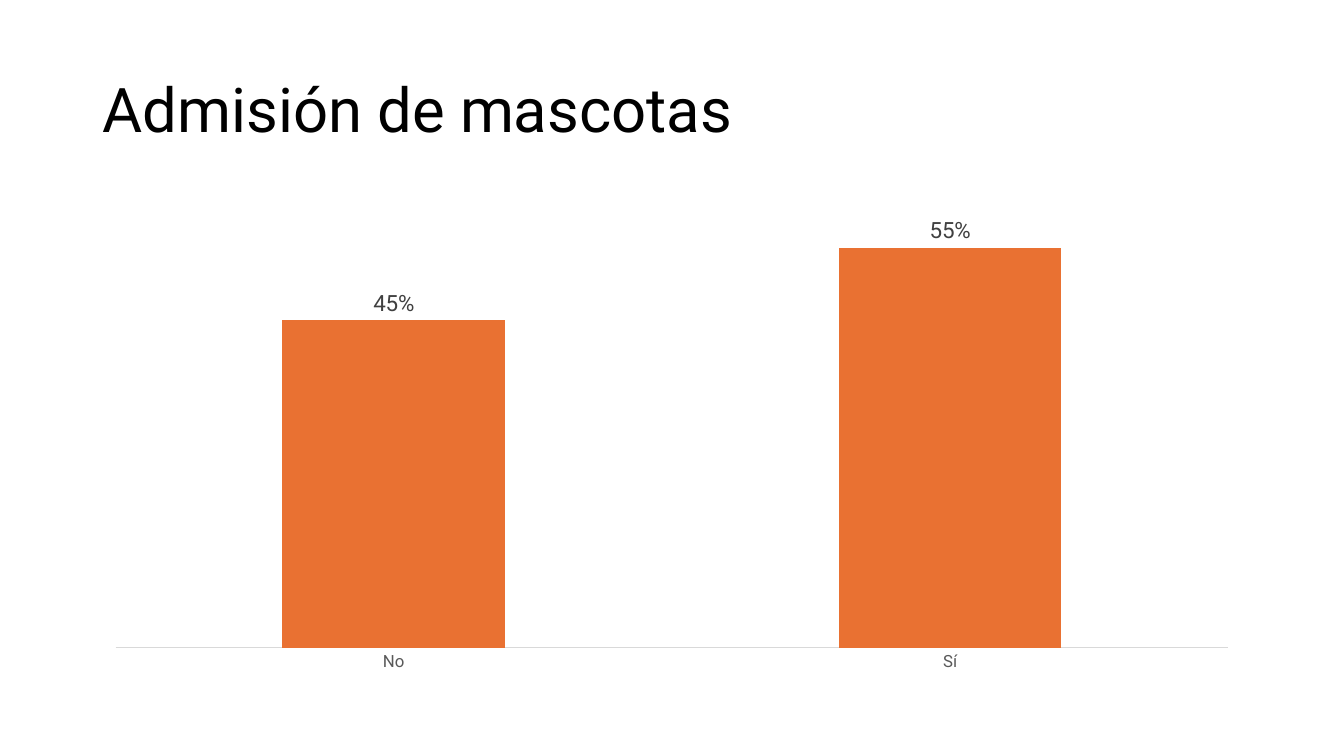
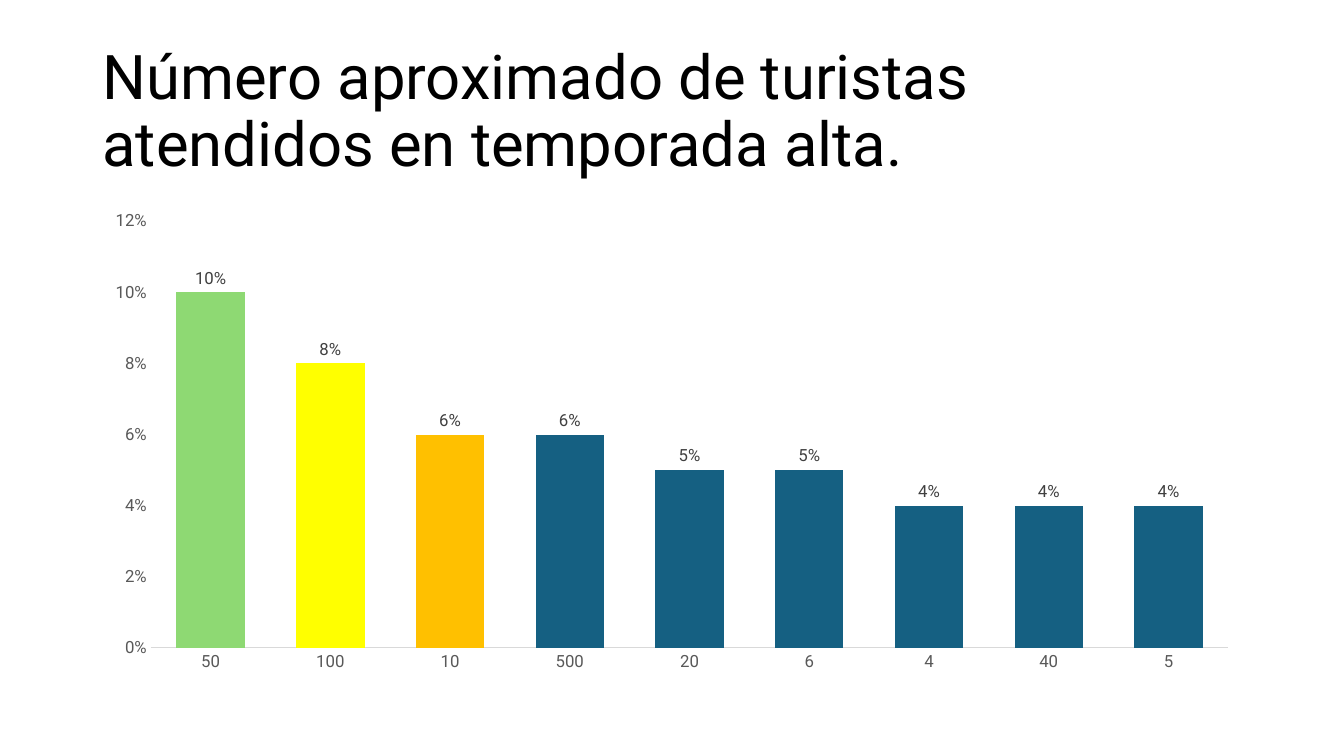
from pptx import Presentation
from pptx.chart.data import CategoryChartData
from pptx.dml.color import RGBColor
from pptx.enum.chart import XL_CHART_TYPE as Kind, XL_LABEL_POSITION as Place, XL_TICK_MARK as Tick
from pptx.enum.text import MSO_ANCHOR as Anchor, MSO_AUTO_SIZE as Fit, PP_ALIGN as Align
from pptx.util import Pt

PX = 9525
FONT = "Roboto"
BLACK = RGBColor(0x00, 0x00, 0x00)
DARK = RGBColor(0x40, 0x40, 0x40)
GRAY = RGBColor(0x59, 0x59, 0x59)
PALE = RGBColor(0xD9, 0xD9, 0xD9)
ORANGE = RGBColor(0xE9, 0x71, 0x32)
BLUE = RGBColor(0x15, 0x60, 0x82)
GREEN = RGBColor(0x8E, 0xD9, 0x73)
YELLOW = RGBColor(0xFF, 0xFF, 0x00)
AMBER = RGBColor(0xFF, 0xC0, 0x00)


def scale(*sizes):
    return [size * PX for size in sizes]


def style(font, size, color):
    font.name = FONT
    font.size = Pt(size)
    font.color.rgb = color


def add_slide(deck, text):
    slide = deck.slides.add_slide(deck.slide_layouts[5])
    title = slide.shapes.title
    title.left, title.top, title.width, title.height = scale(88, 38, 1104, 139)
    frame = title.text_frame
    frame.text = text
    frame.word_wrap = True
    frame.auto_size = Fit.NONE
    frame.vertical_anchor = Anchor.MIDDLE
    para = frame.paragraphs[0]
    para.alignment = Align.LEFT
    para.line_spacing = 0.9
    style(para.font, 44, BLACK)
    return slide


def set_axis(axis):
    axis.major_tick_mark = Tick.NONE
    axis.minor_tick_mark = Tick.NONE
    axis.has_major_gridlines = False
    style(axis.tick_labels.font, 12, GRAY)


def add_bars(slide, rows, color, size, top, step, gap, overlap=0, points=()):
    data = CategoryChartData(number_format="0%")
    data.categories = [name for name, value in rows]
    data.add_series("Series 1", [value for name, value in rows])
    frame = slide.shapes.add_chart(Kind.COLUMN_CLUSTERED, *scale(88, 192, 1104, 457), data)
    chart = frame.chart
    chart.has_legend = False
    chart.has_title = False
    style(chart.font, 10, BLACK)

    base, axis = chart.category_axis, chart.value_axis
    set_axis(base)
    base.format.line.color.rgb = PALE
    base.format.line.width = Pt(0.75)
    set_axis(axis)
    axis.format.line.fill.background()
    axis.minimum_scale = 0
    axis.maximum_scale = top
    axis.major_unit = step
    axis.tick_labels.number_format = "0%"
    axis.tick_labels.number_format_is_linked = False

    plot = chart.plots[0]
    plot.vary_by_categories = False
    plot.gap_width = gap
    plot.overlap = overlap
    bars = plot.series[0]
    bars.invert_if_negative = False
    bars.format.fill.solid()
    bars.format.fill.fore_color.rgb = color
    for index, tint in enumerate(points):
        fill = bars.points[index].format.fill
        fill.solid()
        fill.fore_color.rgb = tint

    labels = bars.data_labels
    labels.show_value = True
    labels.number_format = "0%"
    labels.number_format_is_linked = False
    labels.position = Place.OUTSIDE_END
    style(labels.font, size, DARK)
    return chart


def main():
    deck = Presentation()
    deck.slide_width, deck.slide_height = scale(1280, 720)

    slide = add_slide(deck, "Admisión de mascotas")
    pets = [("No", 0.45), ("Sí", 0.55)]
    chart = add_bars(slide, pets, ORANGE, 16, 0.6, 0.1, 150, overlap=-25)
    chart.value_axis.visible = False

    slide = add_slide(deck, "Número aproximado de turistas atendidos en temporada alta.")
    guests = [("50", 0.1), ("100", 0.08), ("10", 0.06), ("500", 0.06), ("20", 0.05),
              ("6", 0.05), ("4", 0.04), ("40", 0.04), ("5", 0.04)]
    add_bars(slide, guests, BLUE, 12, 0.12, 0.02, 75, points=(GREEN, YELLOW, AMBER))

    deck.save("out.pptx")


if __name__ == "__main__":
    main()
